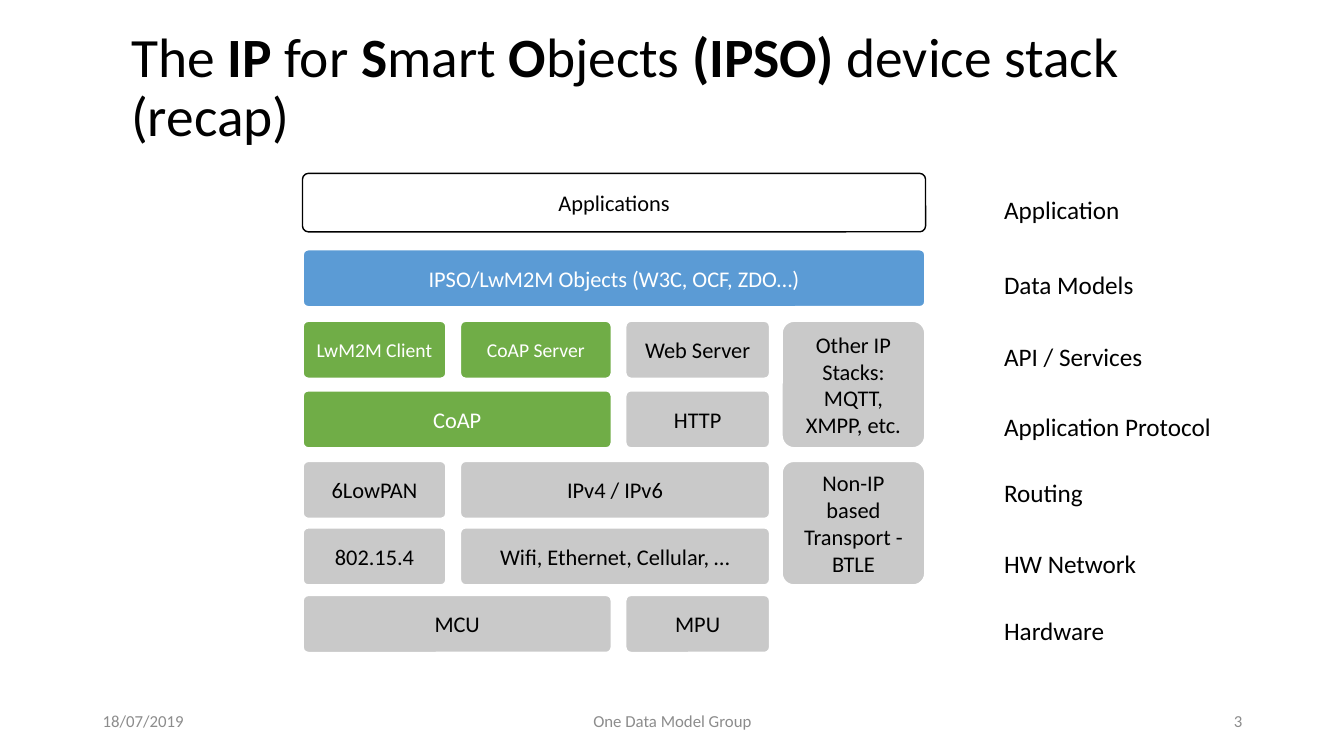
from lxml import etree
from pptx import Presentation
from pptx.dml.color import RGBColor
from pptx.enum.shapes import MSO_SHAPE
from pptx.enum.text import MSO_ANCHOR, MSO_AUTO_SIZE, PP_ALIGN
from pptx.util import Inches, Pt

ROUNDED = MSO_SHAPE.ROUNDED_RECTANGLE
TOP, MIDDLE = MSO_ANCHOR.TOP, MSO_ANCHOR.MIDDLE
LEFT, CENTER, RIGHT = PP_ALIGN.LEFT, PP_ALIGN.CENTER, PP_ALIGN.RIGHT
FONT = "Calibri"
COLORS = {"black": "000000", "white": "FFFFFF", "gray": "C9C9C9",
          "blue": "5B9BD5", "green": "70AD47", "footer": "8C8C8C"}

# Content
TITLE = [("The ", False), ("IP", True), (" for ", False), ("S", True),
         ("mart ", False), ("O", True), ("bjects ", False),
         ("(IPSO) ", True), ("device stack (recap)", False)]

# Layer name, top of its row, top of its label
LAYERS = [("Application", 1.72, 1.88), ("Data Models", 2.47, 2.62),
          ("API / Services", 3.18, 3.34), ("Application Protocol", 3.87, 4.03),
          ("Routing", 4.57, 4.69), ("HW Network", 5.23, 5.39),
          ("Hardware", 5.9, 6.06)]

# Text, first row, last row, first column, last column, fill, text size
BLOCKS = [
    ("Applications", 0, 0, 0, 3, "white", 16),
    ("IPSO/LwM2M Objects (W3C, OCF, ZDO…)", 1, 1, 0, 3, "blue", 16),
    ("LwM2M Client", 2, 2, 0, 0, "green", 14),
    ("CoAP Server", 2, 2, 1, 1, "green", 14),
    ("Web Server", 2, 2, 2, 2, "gray", 16),
    ("Other IP Stacks: MQTT, XMPP, etc.", 2, 3, 3, 3, "gray", 16),
    ("CoAP", 3, 3, 0, 1, "green", 16),
    ("HTTP", 3, 3, 2, 2, "gray", 16),
    ("6LowPAN", 4, 4, 0, 0, "gray", 16),
    ("IPv4 / IPv6", 4, 4, 1, 2, "gray", 16),
    ("Non-IP based Transport - BTLE", 4, 5, 3, 3, "gray", 16),
    ("802.15.4", 5, 5, 0, 0, "gray", 16),
    ("Wifi, Ethernet, Cellular, …", 5, 5, 1, 2, "gray", 16),
    ("MCU", 6, 6, 0, 1, "gray", 16),
    ("MPU", 6, 6, 2, 2, "gray", 16),
]
FOOTERS = [("18/07/2019", 0.92, 3, LEFT),
           ("One Data Model Group", 4.42, 4.5, CENTER),
           ("3", 9.42, 3, RIGHT)]

# Grid in inches: left and right edge of each column
COLUMNS = [(3, 4.43), (4.56, 6.07), (6.2, 7.64), (7.75, 9.18)]
ROW_HEIGHT = 0.58
LABEL_LEFT, LABEL_WIDTH, LABEL_HEIGHT = 9.86, 2.7, 0.44


def rgb(name):
    return RGBColor.from_string(COLORS[name])


def write(frame, runs, size, color, align=LEFT, anchor=TOP):
    frame.word_wrap = True
    frame.auto_size = MSO_AUTO_SIZE.NONE
    frame.vertical_anchor = anchor
    paragraph = frame.paragraphs[0]
    paragraph.alignment = align
    for text, bold in runs:
        run = paragraph.add_run()
        run.text = text
        run.font.name, run.font.size = FONT, Pt(size)
        run.font.bold = bold
        run.font.color.rgb = rgb(color)
    return paragraph


def add_label(slide, text, box, size, color, align=LEFT, anchor=TOP):
    label = slide.shapes.add_textbox(*map(Inches, box))
    write(label.text_frame, [(text, False)], size, color, align, anchor)


def add_block(slide, text, first_row, last_row, first_col, last_col, fill, size):
    left, right = COLUMNS[first_col][0], COLUMNS[last_col][1]
    top = LAYERS[first_row][1]
    bottom = LAYERS[last_row][1] + ROW_HEIGHT
    block = slide.shapes.add_shape(
        ROUNDED, *map(Inches, (left, top, right - left, bottom - top)))
    block.adjustments[0] = 0.1
    block.shadow.inherit = False
    block.fill.solid()
    block.fill.fore_color.rgb = rgb(fill)
    outlined = fill == "white"
    block.line.color.rgb = rgb("black" if outlined else "white")
    block.line.width = Pt(1 if outlined else 2)
    ink = "white" if fill in ("blue", "green") else "black"
    write(block.text_frame, [(text, False)], size, ink, CENTER, MIDDLE)


def main():
    deck = Presentation()
    deck.slide_width, deck.slide_height = Inches(13.33), Inches(7.5)
    slide = deck.slides.add_slide(deck.slide_layouts[5])

    # Title
    title = slide.shapes.title
    title.left, title.top, title.width, title.height = map(
        Inches, (1.22, 0.25, 11.51, 0.63))
    frame = title.text_frame
    frame.margin_left = frame.margin_right = Inches(0.08)
    frame.margin_top = frame.margin_bottom = Inches(0.04)
    write(frame, TITLE, 39.6, "black").line_spacing = 0.9

    # Device stack
    for block in BLOCKS:
        add_block(slide, *block)

    # Layer names
    for name, _, top in LAYERS:
        add_label(slide, name, (LABEL_LEFT, top, LABEL_WIDTH, LABEL_HEIGHT),
                  18, "black")

    # Footer
    for text, left, width, align in FOOTERS:
        add_label(slide, text, (left, 6.95, width, 0.4), 12, "footer",
                  align, MIDDLE)

    deck.save("out.pptx")


if __name__ == "__main__":
    main()
